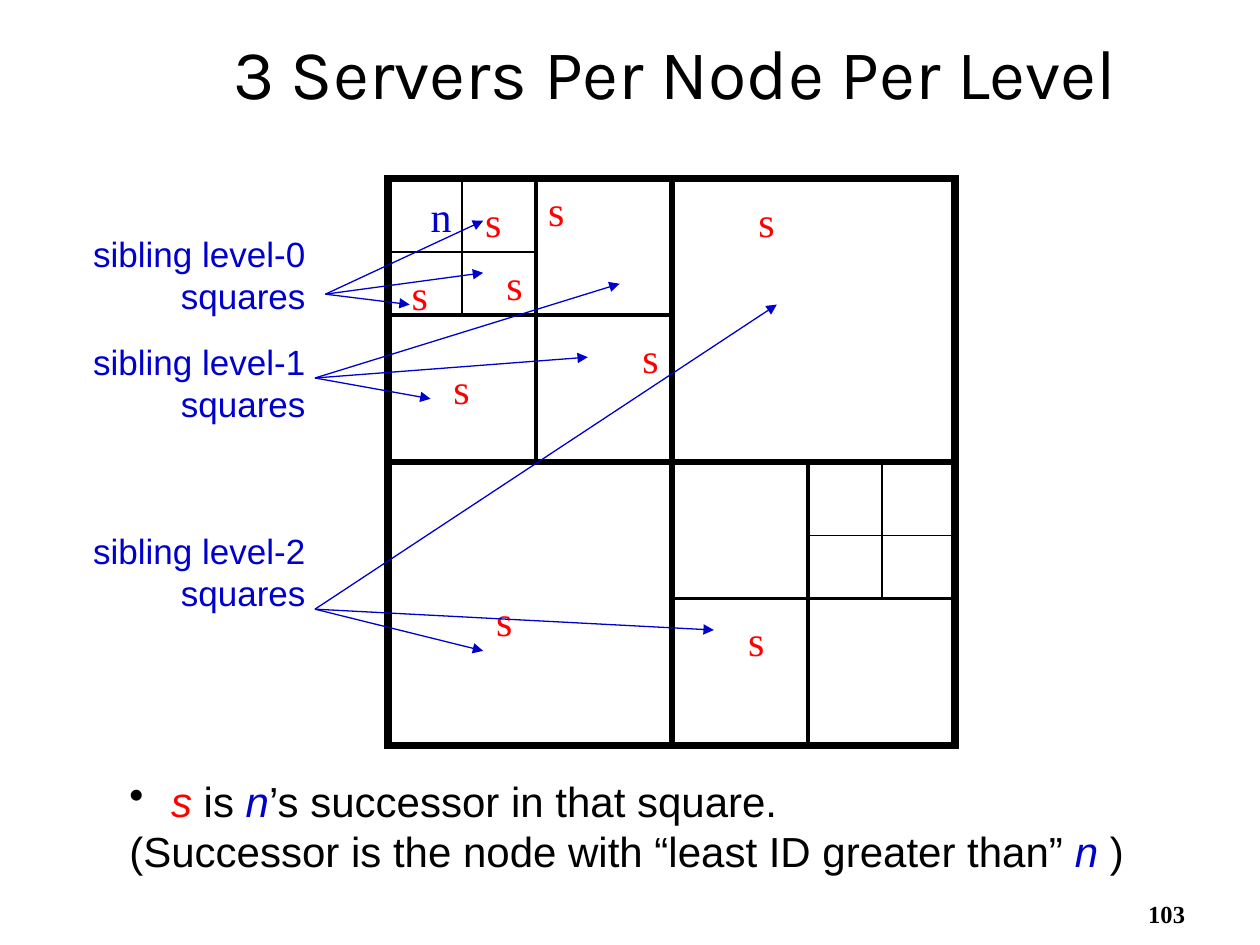
from lxml import etree
from pptx import Presentation
from pptx import util as u
from pptx.dml.color import RGBColor
from pptx.enum import shapes, text
from pptx.oxml import ns

BLACK, BLUE, RED = "000000", "0000CC", "FF0000"
paint = RGBColor.from_string

deck = Presentation()
deck.slide_width, deck.slide_height = u.Cm(25.4), u.Cm(19.05)
slide = deck.slides.add_slide(deck.slide_layouts[6])


def write(paragraphs, left, top, width, height, size, font="Arial", color=BLACK,
          bold=False, align="LEFT", anchor="TOP", wrap=True, spacing=None, bullet=None):
    """Each paragraph is a string or a list of (words, color, italic) runs."""
    frame = slide.shapes.add_textbox(
        u.Cm(left), u.Cm(top), u.Cm(width), u.Cm(height)).text_frame
    frame.word_wrap = wrap
    frame.vertical_anchor = getattr(text.MSO_ANCHOR, anchor)
    for number, content in enumerate(paragraphs):
        paragraph = frame.add_paragraph() if number else frame.paragraphs[0]
        if number == bullet:
            props = paragraph._p.get_or_add_pPr()
            props.set("marL", str(u.Cm(0.84)))
            props.set("indent", str(-u.Cm(0.84)))
            bullet_color = etree.SubElement(props, ns.qn("a:buClr"))
            etree.SubElement(bullet_color, ns.qn("a:srgbClr")).set("val", color)
            etree.SubElement(props, ns.qn("a:buChar")).set("char", "•")
        paragraph.alignment = getattr(text.PP_ALIGN, align)
        if spacing:
            paragraph.line_spacing = u.Pt(spacing)
        runs = [(content, color, False)] if isinstance(content, str) else content
        for words, run_color, italic in runs:
            run = paragraph.add_run()
            run.text = words
            run.font.name, run.font.size = font, u.Pt(size)
            run.font.bold, run.font.italic = bold, italic
            run.font.color.rgb = paint(run_color)


def draw_line(start, end, color, weight, arrow=False):
    line = slide.shapes.add_connector(
        shapes.MSO_CONNECTOR.STRAIGHT, *(u.Cm(v) for v in (*start, *end)))
    line.line.color.rgb = paint(color)
    line.line.width = u.Pt(weight)
    if arrow:
        etree.SubElement(line.line._get_or_add_ln(), ns.qn("a:tailEnd")).set("type", "triangle")
    etree.SubElement(line._element.spPr, ns.qn("a:effectLst"))
    return line


# Title
write(["3 Servers Per Node Per Level"], 4.45, 0.95, 19.28, 1.47, 40,
      font="Karla", anchor="BOTTOM")

# Outer square with sharp corners
grid_left, grid_top, side = 7.83, 3.6, 11.43
world = slide.shapes.add_shape(
    shapes.MSO_SHAPE.RECTANGLE, u.Cm(grid_left), u.Cm(grid_top), u.Cm(side), u.Cm(side))
world.shadow.inherit = False
world.fill.background()
world.line.color.rgb = paint(BLACK)
world.line.width = u.Pt(4.5)
etree.SubElement(world.line._get_or_add_ln(), ns.qn("a:miter")).set("lim", "800000")

# Quadtree: each cross splits one square (x, y, width, height, cut x, cut y, weight)
half = side / 2
crosses = [
    (0, 0, side, side, half, half, 3),
    (0, 0, half, half, 2.97, 2.75, 2.25),
    (half, half, half, half, 2.75, 2.75, 2.25),
    (0, 0, 2.97, 2.75, 1.48, 1.48, 1),
    (half + 2.75, half, 2.97, 2.75, 1.48, 1.48, 1),
]
for x, y, width, height, cut_x, cut_y, weight in crosses:
    x, y = grid_left + x, grid_top + y
    upright = draw_line((x + cut_x, y), (x + cut_x, y + height), BLACK, weight)
    level = draw_line((x, y + cut_y), (x + width, y + cut_y), BLACK, weight)
    if width == side:
        upright.begin_connect(world, 0)
        upright.end_connect(world, 2)
        level.begin_connect(world, 1)
        level.end_connect(world, 3)

# Node and its servers
nodes = [("n", BLUE, 8.43, 3.71)] + [("s", RED, x, y) for x, y in (
    (8.05, 5.28), (9.53, 3.81), (9.96, 5.08), (8.89, 7.19), (10.8, 3.6),
    (12.7, 6.55), (15.04, 3.81), (9.75, 11.86), (14.83, 12.27))]
for letter, color, x, y in nodes:
    write([letter], x, y, 0.91 if letter == "n" else 0.84, 1.27, 24,
          font="Times New Roman", color=color, wrap=False)

# Explanation
write([[("s", RED, True), (" is ", BLACK, False), ("n", BLUE, True),
        ("’s successor in that square.", BLACK, False)],
       [("(Successor is the node with “least ID greater than” ", BLACK, False),
        ("n", BLUE, True), (" )", BLACK, False)]],
      2.36, 15.52, 20.93, 2.29, 24, spacing=28.5, bullet=0)

# Sibling labels with arrows: label top, arrow start, arrow tips
siblings = [
    (4.57, (6.56, 5.93), [(9.74, 4.45), (9.74, 5.5), (8.26, 6.14)]),
    (6.73, (6.35, 7.62), [(12.49, 5.72), (11.85, 7.2), (8.68, 8.04)]),
    (10.54, (6.35, 12.28), [(15.66, 6.14), (14.39, 12.7), (9.74, 13.12)]),
]
for depth, (label_top, start, tips) in enumerate(siblings):
    for tip in tips:
        draw_line(start, tip, BLUE, 0.75, arrow=True)
    write([f"sibling level-{depth}", "squares"], 1.21, label_top, 5.2, 1.96, 20,
          color=BLUE, align="RIGHT", spacing=24)

# Page number
write(["103"], 18.85, 17.58, 5.29, 1.27, 14, font="Times New Roman", bold=True,
      align="RIGHT", anchor="BOTTOM")

deck.save("out.pptx")
